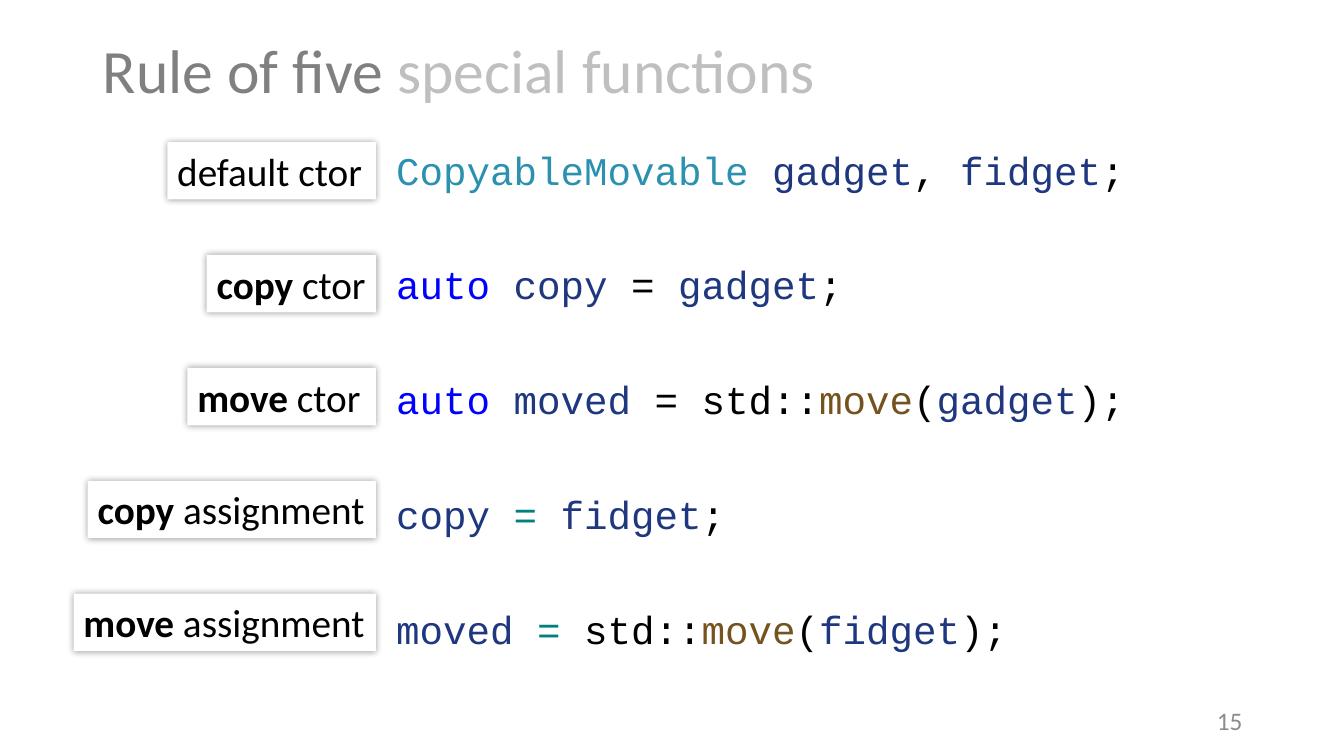
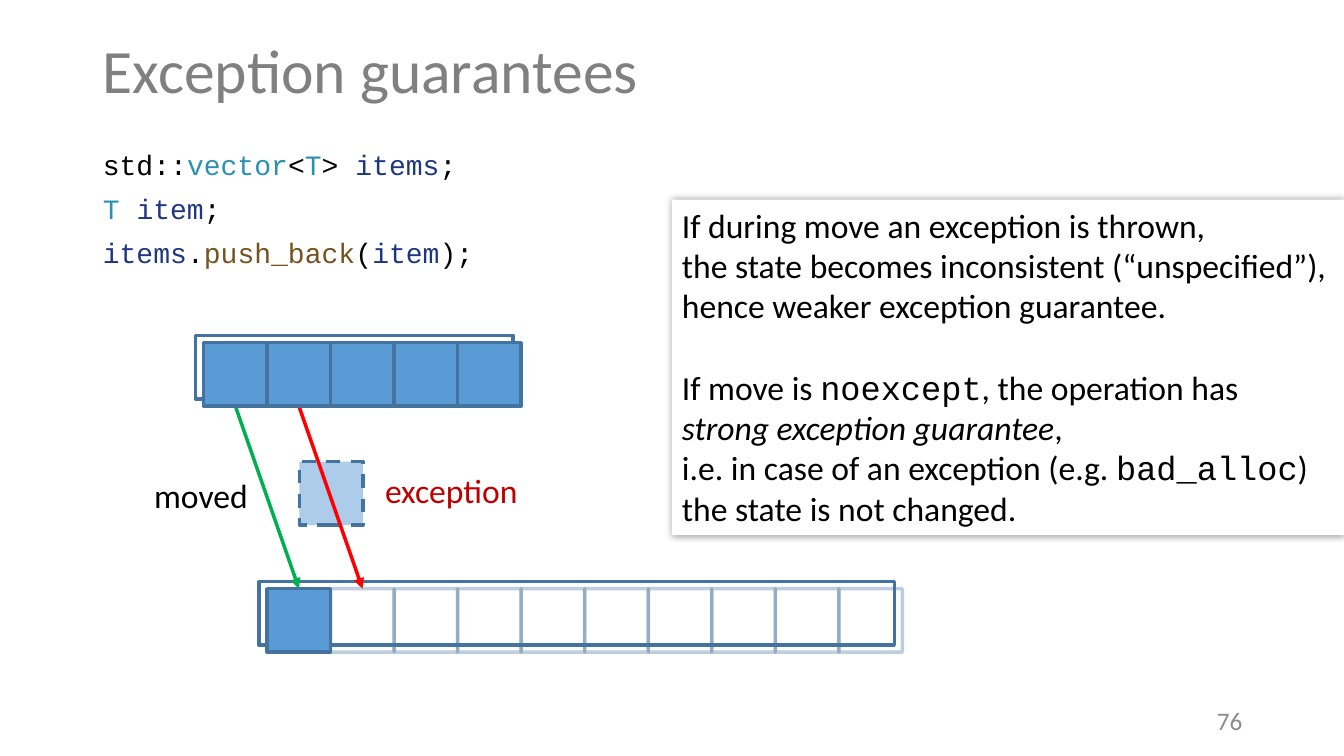
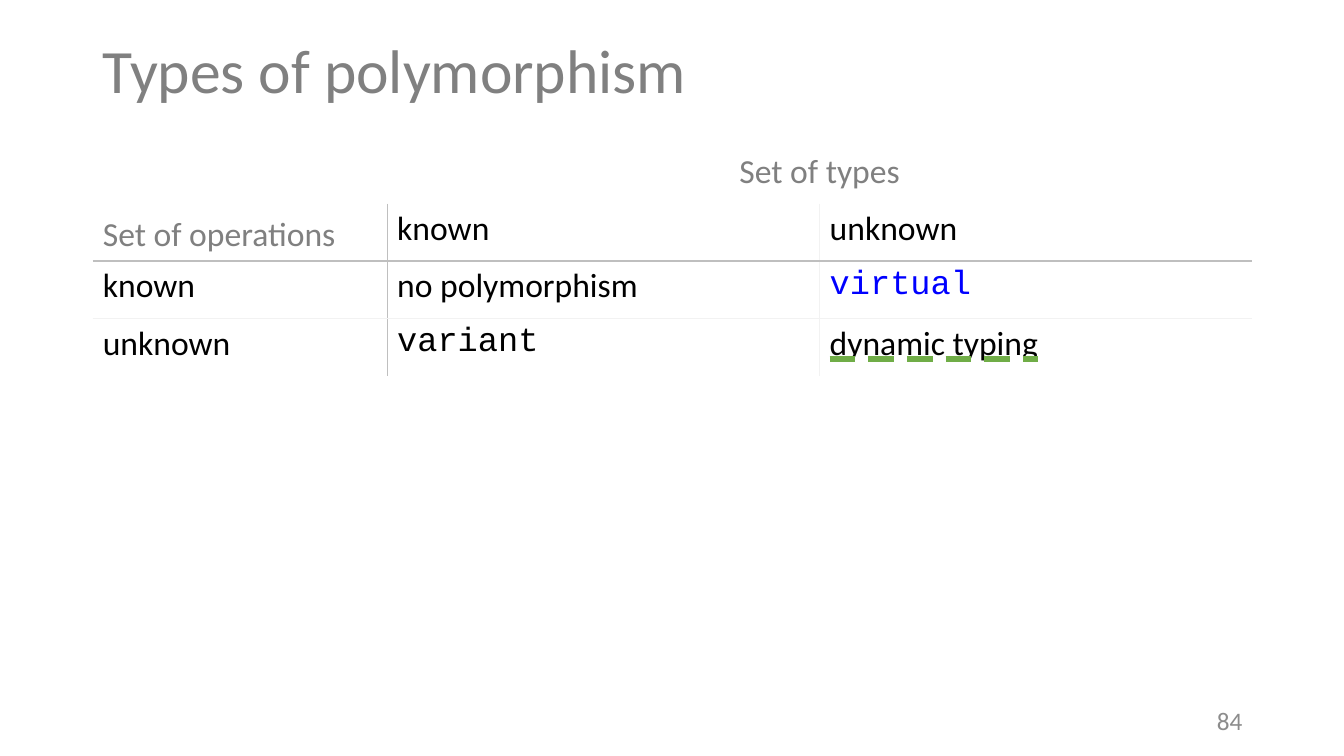
from lxml import etree
from pptx import Presentation, util as u
from pptx.dml.color import RGBColor
from pptx.enum import dml, shapes, text
from pptx.oxml import ns

COLORS = {
    "white": "FFFFFF", "black": "000000", "title": "808080", "rule": "BFBFBF",
    "hairline": "F2F2F2", "number": "8C8C8C", "type": "2B91AF", "var": "1F377F",
    "keyword": "0000FF", "func": "74531F", "operator": "008080",
    "cell": "5B9BD5", "edge": "43739E", "moved": "00B050", "failed": "FF0000",
    "exception": "C00000", "underline": "70AD47",
}
SANS, MONO = "Calibri", "Courier New"
WIDTH, HEIGHT = 13.33, 7.5
MARGIN, TOP = 0.92, 1.45
CONTENT_W, CONTENT_H = 11.5, 5.5
CELL = 0.63
NO_STYLE = "{2D5ABB26-0587-4C30-8999-92F81FD0307C}"


def rgb(name):
    return RGBColor.from_string(COLORS[name])


def inches(*lengths):
    return [u.Inches(v) for v in lengths]


def child(parent, tag, **attrs):
    el = etree.SubElement(parent, ns.qn(tag))
    for key, value in attrs.items():
        el.set(key, str(value))
    return el


def color_fill(parent, name, alpha=None):
    clr = child(child(parent, "a:solidFill"), "a:srgbClr", val=COLORS[name])
    if alpha is not None:
        child(clr, "a:alpha", val=alpha * 1000)


def set_alpha(fill_parent, alpha):
    """Make the first solid colour under an element translucent."""
    clr = fill_parent.find(ns.qn("a:solidFill")).find(ns.qn("a:srgbClr"))
    child(clr, "a:alpha", val=alpha * 1000)


def add_run(p, words, size, color="black", font=SANS, bold=None, italic=None):
    """Add a run; each line feed in the words becomes a line break."""
    for i, line in enumerate(words.split("\n")):
        if i:
            p.add_line_break()
        if line:
            r = p.add_run()
            r.text = line
            r.font.size, r.font.name = u.Pt(size), font
            r.font.bold, r.font.italic = bold, italic
            r.font.color.rgb = rgb(color)
    return p


def add_text(tf, words, size, color="black", align=text.PP_ALIGN.LEFT):
    tf.word_wrap = True
    p = tf.paragraphs[0]
    p.alignment = align
    return add_run(p, words, size, color)


def setup_master(prs):
    prs.slide_width, prs.slide_height = inches(WIDTH, HEIGHT)
    frames = {shapes.PP_PLACEHOLDER.TITLE: (MARGIN, 0, CONTENT_W, TOP),
              shapes.PP_PLACEHOLDER.BODY: (MARGIN, TOP, CONTENT_W, CONTENT_H)}
    for ph in prs.slide_master.placeholders:
        frame = frames.get(ph.placeholder_format.type)
        if frame:
            ph.left, ph.top, ph.width, ph.height = inches(*frame)


def add_slide(prs, layout, number, title_runs):
    s = prs.slides.add_slide(prs.slide_layouts[layout])
    tf = s.shapes.title.text_frame
    tf.vertical_anchor = text.MSO_ANCHOR.MIDDLE
    tf.auto_size = text.MSO_AUTO_SIZE.NONE
    p = tf.paragraphs[0]
    p.alignment, p.line_spacing = text.PP_ALIGN.LEFT, 0.9
    for words, color in title_runs:
        add_run(p, words, 44, color)
    box = s.shapes.add_textbox(*inches(MARGIN + CONTENT_W - 3, 6.95, 3, 0.4))
    box.text_frame.vertical_anchor = text.MSO_ANCHOR.MIDDLE
    add_text(box.text_frame, number, 18, "number", text.PP_ALIGN.RIGHT)
    return s


def fill_code(body, lines, size, gap):
    """Write lines of (token, colour) pairs into the body placeholder."""
    tf = body.text_frame
    tf.auto_size = text.MSO_AUTO_SIZE.NONE
    for i, tokens in enumerate(lines):
        p = tf.paragraphs[0] if i == 0 else tf.add_paragraph()
        pPr = p._p.get_or_add_pPr()
        pPr.set("marL", "0")
        pPr.set("indent", "0")
        child(pPr, "a:buNone")
        p.line_spacing = 0.9
        p.space_before = u.Pt(gap if i else 0)
        for words, color in tokens:
            add_run(p, words, size, color, MONO)


def add_rect(s, x, y, w, h, fill=None, line=None, line_alpha=None):
    sp = s.shapes.add_shape(shapes.MSO_SHAPE.RECTANGLE, *inches(x, y, w, h))
    sp.shadow.inherit = False
    if fill:
        sp.fill.solid()
        sp.fill.fore_color.rgb = rgb(fill)
    else:
        sp.fill.background()
    if line:
        sp.line.color.rgb, sp.line.width = rgb(line), u.Pt(2.5)
        if line_alpha:
            set_alpha(sp.line._ln, line_alpha)
    else:
        sp.line.fill.background()
    return sp


def add_card(s, x, y, w, h):
    """White box with a soft shadow all round; returns its text frame."""
    sp = add_rect(s, x, y, w, h, "white")
    effects = sp._element.spPr.find(ns.qn("a:effectLst"))
    shadow = child(effects, "a:outerShdw", blurRad=u.Pt(5), dist=0, dir=0,
                   algn="ctr", rotWithShape=0)
    child(child(shadow, "a:srgbClr", val=COLORS["black"]), "a:alpha", val=40000)
    tf = sp.text_frame
    tf.word_wrap, tf.margin_right = True, 0
    tf.vertical_anchor = text.MSO_ANCHOR.TOP
    tf.paragraphs[0].alignment = text.PP_ALIGN.LEFT
    return tf


def add_cells(s, x, y, count, fill=None, line_alpha=None):
    for i in range(count):
        add_rect(s, x + i * CELL, y, CELL, CELL, fill, "edge", line_alpha)


def add_arrow(s, x1, y1, x2, y2, color):
    line = s.shapes.add_connector(shapes.MSO_CONNECTOR.STRAIGHT,
                                  *inches(x1, y1, x2, y2))
    line.line.color.rgb, line.line.width = rgb(color), u.Pt(2.5)
    child(line.line._ln, "a:tailEnd", type="triangle")
    child(line._element.spPr, "a:effectLst")


def add_label(s, x, y, w, words, color):
    box = s.shapes.add_textbox(*inches(x, y, w, 0.5))
    add_text(box.text_frame, words, 24, color)


def set_borders(cell, **sides):
    """Give a cell 1 pt borders, by side letter L, R, T, B and colour name."""
    tcPr = cell._tc.get_or_add_tcPr()
    drawn = [side for side in "LRTB" if sides.get(side)]
    for i, side in enumerate(drawn):
        ln = child(tcPr, "a:ln" + side, w=u.Pt(1))
        color_fill(ln, sides[side])
        tcPr.insert(i, ln)


def rule_of_five(prs):
    s = add_slide(prs, 1, "15", [("Rule of five ", "title"),
                                 ("special functions", "rule")])
    body = s.placeholders[1]
    code_x = 3.83
    body.left, body.top, body.width, body.height = inches(
        code_x, TOP, MARGIN + CONTENT_W - code_x, CONTENT_H)
    fill_code(body, [
        [("CopyableMovable", "type"), (" ", "black"), ("gadget", "var"),
         (", ", "black"), ("fidget", "var"), (";", "black")],
        [("auto", "keyword"), (" ", "black"), ("copy", "var"),
         (" = ", "black"), ("gadget", "var"), (";", "black")],
        [("auto", "keyword"), (" ", "black"), ("moved", "var"),
         (" = std::", "black"), ("move", "func"), ("(", "black"),
         ("gadget", "var"), (");", "black")],
        [("copy", "var"), (" ", "black"), ("=", "operator"), (" ", "black"),
         ("fidget", "var"), (";", "black")],
        [("moved", "var"), (" ", "black"), ("=", "operator"),
         (" std::", "black"), ("move", "func"), ("(", "black"),
         ("fidget", "var"), (");", "black")],
    ], 28, 51.8)
    labels = [("", "default ctor", 2.07), ("copy ", "ctor", 1.68),
              ("move ", "ctor", 1.87), ("copy", " assignment", 2.86),
              ("move", " assignment", 3)]
    for row, (strong, rest, w) in enumerate(labels):
        tf = add_card(s, 3.73 - w, 1.41 + row * 1.12, w, 0.57)
        add_run(tf.paragraphs[0], strong, 28, bold=True)
        add_run(tf.paragraphs[0], rest, 28)


def exception_guarantees(prs):
    s = add_slide(prs, 1, "76", [("Exception guarantees", "title")])
    fill_code(s.placeholders[1], [
        [("std::", "black"), ("vector", "type"), ("<", "black"),
         ("T", "type"), ("> ", "black"), ("items", "var"), (";", "black")],
        [("T", "type"), (" ", "black"), ("item", "var"), (";", "black")],
        [("items", "var"), (".", "black"), ("push_back", "func"),
         ("(", "black"), ("item", "var"), (");", "black")],
    ], 20, 10)

    old_x, old_y, new_x, new_y = 2.02, 3.4, 2.65, 5.84
    for x, y, count in ((old_x, old_y, 5), (new_x, new_y, 10)):
        add_rect(s, x - 0.08, y - 0.07, count * CELL, CELL, "white", "edge")
    add_cells(s, new_x + CELL, new_y, 9, line_alpha=34)
    add_cells(s, new_x, new_y, 1, "cell")
    pending = add_rect(s, 2.97, 4.58, CELL, CELL, "cell", "edge")
    set_alpha(pending._element.spPr, 50)
    pending.line.dash_style = dml.MSO_LINE.DASH
    for i, color in enumerate(("moved", "failed")):
        middle = (i + 0.5) * CELL
        add_arrow(s, old_x + middle, old_y + CELL, new_x + middle, new_y, color)
    add_cells(s, old_x, old_y, 5, "cell")

    tf = add_card(s, WIDTH / 2, 1.98, WIDTH / 2, 3.33)
    add_run(tf.paragraphs[0], "If during move an exception is thrown,\n"
            "the state becomes inconsistent (“unspecified”),\n"
            "hence weaker exception guarantee.", 24)
    p = tf.add_paragraph()
    p.alignment, p.space_before = text.PP_ALIGN.LEFT, u.Pt(29.3)
    add_run(p, "If move is ", 24)
    add_run(p, "noexcept", 24, font=MONO)
    add_run(p, ", the operation has\n", 24)
    add_run(p, "strong exception guarantee", 24, italic=True)
    add_run(p, ",\ni.e. in case of an exception (e.g. ", 24)
    add_run(p, "bad_alloc", 24, font=MONO)
    add_run(p, ") the state is not changed.", 24)
    add_label(s, 1.43, 4.66, 1.18, "moved", "black")
    add_label(s, 3.72, 4.61, 1.55, "exception", "exception")


def types_of_polymorphism(prs):
    s = add_slide(prs, 5, "84", [("Types of polymorphism", "title")])
    row_h, widths = 0.57, (2.92, 4.29, 4.29)
    frame = s.shapes.add_table(4, 3, *inches(MARGIN, TOP, CONTENT_W, 4 * row_h))
    table = frame.table
    table.first_row = table.horz_banding = False
    table._tbl.tblPr.find(ns.qn("a:tableStyleId")).text = NO_STYLE
    for column, w in zip(table.columns, widths):
        column.width = u.Inches(w)
    for row in table.rows:
        row.height = u.Inches(row_h)
    table.cell(0, 0).merge(table.cell(1, 0))
    table.cell(0, 1).merge(table.cell(0, 2))

    rows = [
        [("Set of operations", "title", SANS), ("Set of types", "title", SANS), None],
        [None, ("known", "black", SANS), ("unknown", "black", SANS)],
        [("known", "black", SANS), ("no polymorphism", "black", SANS),
         ("virtual", "keyword", MONO)],
        [("unknown", "black", SANS), ("variant", "black", MONO),
         ("dynamic typing", "black", SANS)],
    ]
    below = {1: "rule", 2: "hairline"}
    beside = {0: "rule", 1: "hairline"}
    for i, row in enumerate(rows):
        for j, content in enumerate(row):
            cell = table.cell(i, j)
            cell.fill.background()
            set_borders(cell, L=i and beside.get(j - 1), R=i and beside.get(j),
                        T=below.get(i - 1), B=below.get(i))
            if content:
                words, color, font = content
                add_run(cell.text_frame.paragraphs[0], words, 24, color, font)
    corner, heading = table.cell(0, 0), table.cell(0, 1)
    corner.vertical_anchor = text.MSO_ANCHOR.BOTTOM
    set_borders(corner, B="rule")
    heading.text_frame.paragraphs[0].alignment = text.PP_ALIGN.CENTER

    r = table.cell(3, 2).text_frame.paragraphs[0].runs[0]
    r.font.underline = text.MSO_UNDERLINE.DASH_HEAVY_LINE
    rPr = r.font._element
    underline_fill = child(rPr, "a:uFill")
    color_fill(underline_fill, "underline")
    rPr.find(ns.qn("a:latin")).addprevious(underline_fill)


def main():
    prs = Presentation()
    setup_master(prs)
    rule_of_five(prs)
    exception_guarantees(prs)
    types_of_polymorphism(prs)
    prs.save("out.pptx")


if __name__ == "__main__":
    main()
